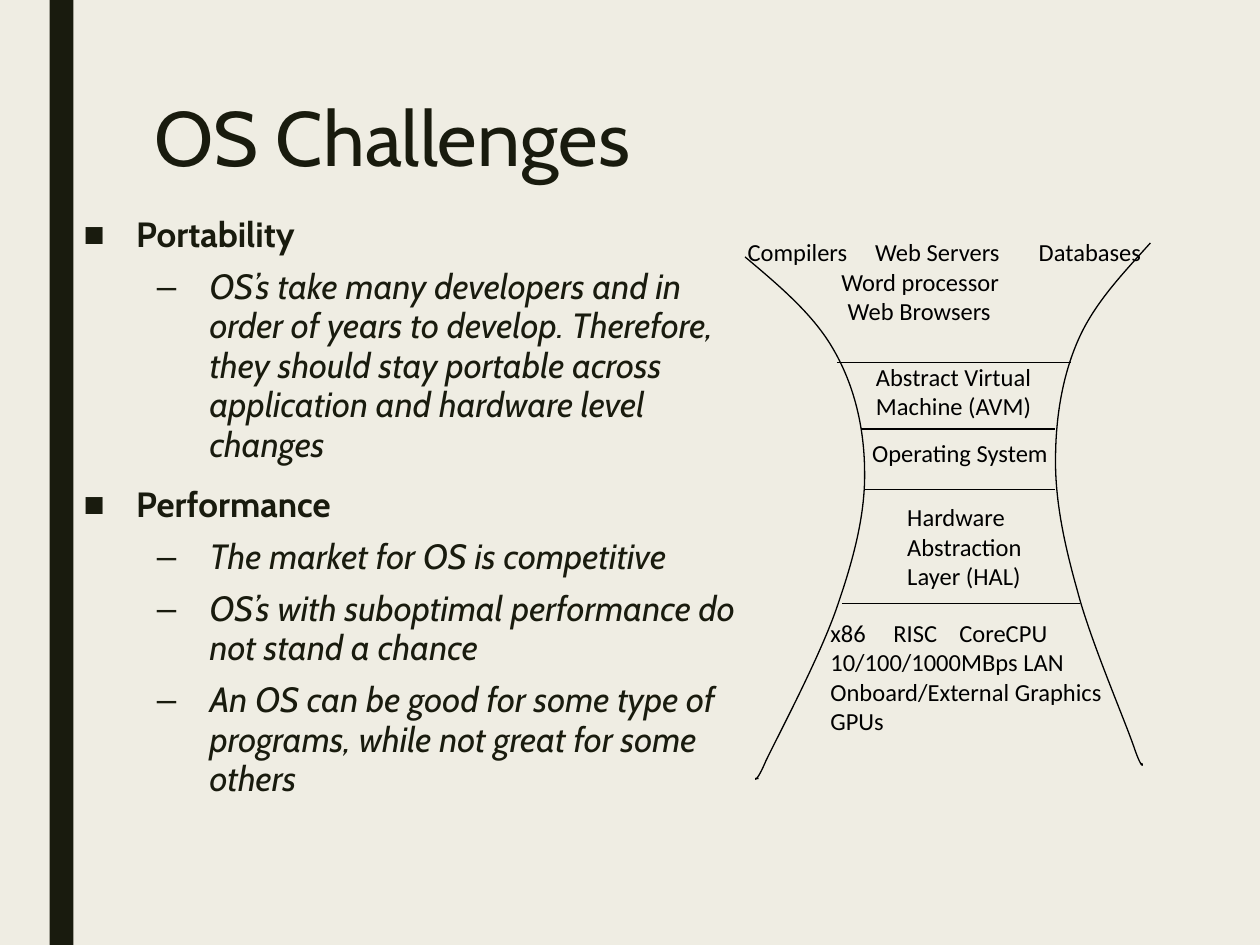
from copy import deepcopy
from dataclasses import dataclass
from typing import Any

from lxml.etree import SubElement as Sub
from pptx import Presentation
from pptx.dml.color import RGBColor as Rgb
from pptx.enum.shapes import MSO_CONNECTOR as Link, MSO_SHAPE as Kind
from pptx.enum.text import MSO_ANCHOR as Anchor, MSO_AUTO_SIZE as Fit, PP_ALIGN as Align
from pptx.oxml.ns import qn
from pptx.util import Cm, Pt

DARK, PAPER, BLACK = "191B0E", "EFEDE3", "000000"
TITLE = {"size": Pt(44), "name": "Cabin", "bold": False}
HEAD = {"size": Pt(20), "name": "Cabin", "bold": True, "italic": False}
ITEM = {**HEAD, "bold": False, "italic": True}
LABEL = {"size": Pt(14), "name": "Calibri"}
FRAME = {"word_wrap": True, "auto_size": Fit.NONE, "vertical_anchor": Anchor.TOP}


@dataclass
class Point:
    """One bullet of the body list."""
    text: str
    level: int = 1


@dataclass
class Row:
    """One paragraph of a label, with its indent and tab stops in cm."""
    text: str
    left: float = 0
    tabs: tuple[float, ...] = ()


@dataclass
class Label:
    """A text block of the hourglass, in cm."""
    box: tuple[float, float, float, float]
    rows: list[Row]


@dataclass
class Rule:
    """A level line across the hourglass, in cm."""
    left: float
    right: float
    top: float


POINTS = [
    Point("Portability", 0),
    Point("OS’s take many developers and in order of years to develop. Therefore, "
          "they should stay portable across application and hardware level changes"),
    Point("Performance", 0),
    Point("The market for OS is competitive"),
    Point("OS’s with suboptimal performance do not stand a chance"),
    Point("An OS can be good for some type of programs, while not great for some others"),
]
SIDES = [
    [(15.02, 5.18), (15.72, 5.77), (16.41, 6.35), (16.81, 7.06), (17.22, 7.77),
     (17.42, 8.61), (17.43, 9.47), (17.45, 10.34), (17.22, 11.23), (16.89, 12.19),
     (16.56, 13.18), (15.72, 14.76), (15.44, 15.34), (15.19, 15.93), (15.19, 15.62),
     (15.29, 15.7)],
    [(23.19, 4.9), (22.66, 5.49), (22.1, 6.07), (21.77, 6.78), (21.44, 7.49),
     (21.29, 8.33), (21.28, 9.17), (21.26, 10.03), (21.44, 10.92), (21.72, 11.91),
     (21.97, 12.88), (22.66, 14.48), (22.86, 15.06), (23.06, 15.65), (23.06, 15.34),
     (22.99, 15.39)],
]
RULES = [Rule(16.87, 21.59, 7.31), Rule(17.36, 21.26, 8.65),
         Rule(17.44, 21.26, 9.87), Rule(16.97, 21.77, 12.17)]
LABELS = [
    Label((17.41, 7.17, 4.17, 1.55), [Row("Abstract Virtual Machine (AVM)")]),
    Label((17.33, 8.71, 6.6, 1.04), [Row("Operating System")]),
    Label((18.04, 10, 5.23, 2.49), [Row("Hardware\vAbstraction\vLayer (HAL)")]),
    Label((14.82, 4.66, 8.59, 2.49),
          [Row("Compilers\tWeb Servers\tDatabases", tabs=(2.57, 5.87)),
           Row("Word processor", 1.89), Row("Web Browsers", 2.02)]),
    Label((16.49, 12.33, 6.5, 2.9),
          [Row("x86\tRISC\tCoreCPU\v10/100/1000MBps LAN\v"
               "Onboard/External Graphics\vGPUs", tabs=(1.27, 2.6))]),
]


def put(obj: Any, look: dict[str, Any]) -> None:
    """Set each attribute in the dict."""
    for key, val in look.items():
        setattr(obj, key, val)


def paint(fill: Any, tone: str) -> None:
    """Give a fill one solid colour."""
    fill.solid()
    fill.fore_color.rgb = Rgb.from_string(tone)


def place(shape: Any, box: tuple[float, ...]) -> None:
    """Move and size a shape in cm."""
    put(shape, dict(zip(("left", "top", "width", "height"), map(Cm, box))))


def write(para: Any, text: str, font: dict[str, Any], tone: str) -> None:
    """Add styled text, with line breaks of the same size."""
    para.text = text
    for run in para.runs:
        put(run.font, font)
        paint(run.font.fill, tone)
    for gap in para._p.findall(qn("a:br")):
        gap.insert(0, deepcopy(para.runs[0]._r.rPr))


def stroke(shape: Any) -> None:
    """Draw a thin black line."""
    shape.line.width = Pt(0.75)
    paint(shape.line.fill, BLACK)


def lines(frame: Any, count: int) -> list[Any]:
    """Give the frame this many paragraphs."""
    return [frame.paragraphs[0], *(frame.add_paragraph() for _ in range(count - 1))]


def bullets(frame: Any, points: list[Point]) -> None:
    """Fill the body list."""
    for para, point in zip(lines(frame, len(points)), points):
        put(para, {"level": point.level, "line_spacing": 0.94, "space_after": Pt(2),
                   "space_before": Pt((10, 5)[point.level])})
        prop = para._p.get_or_add_pPr()
        prop.set("marL", str(Cm((1.06, 2.54)[point.level])))
        prop.set("indent", str(Cm(-1.06)))
        Sub(prop, qn("a:buChar"), char="■–"[point.level])
        write(para, point.text, (HEAD, ITEM)[point.level], DARK)


def label(shapes: Any, item: Label) -> None:
    """Add one text block."""
    frame = shapes.add_textbox(*map(Cm, item.box)).text_frame
    put(frame, FRAME)
    for para, row in zip(lines(frame, len(item.rows)), item.rows):
        prop = para._p.get_or_add_pPr()
        prop.set("marL", str(Cm(row.left)))
        if row.tabs:
            stops = Sub(prop, qn("a:tabLst"))
            for tab in row.tabs:
                Sub(stops, qn("a:tab"), pos=str(Cm(tab)), algn="l")
        write(para, row.text, LABEL, BLACK)


def curve(shapes: Any, knots: list[tuple[float, float]]) -> None:
    """Draw a chain of cubic curves."""
    start, *rest = [tuple(map(Cm, knot)) for knot in knots]
    pen = shapes.build_freeform(*start)
    pen.add_line_segments(rest, close=False)
    shape = pen.convert_to_shape()
    legs = list(shape._element.iter(qn("a:lnTo")))
    track = legs[0].getparent()
    for at in range(0, len(legs), 3):
        bend = Sub(track, qn("a:cubicBezTo"))
        for leg in legs[at:at + 3]:
            bend.append(leg[0])
            track.remove(leg)
    shape.shadow.inherit = False
    shape.fill.background()
    stroke(shape)


def rule(shapes: Any, item: Rule) -> None:
    """Add one level line."""
    ends = map(Cm, (item.left, item.top, item.right, item.top))
    line = shapes.add_connector(Link.STRAIGHT, *ends)
    stroke(line)
    Sub(line._element.spPr, qn("a:effectLst"))


def main() -> None:
    """Build the slide."""
    deck = Presentation()
    put(deck, {"slide_width": Cm(25.4), "slide_height": Cm(19.05)})
    slide = deck.slides.add_slide(deck.slide_layouts[1])
    paint(slide.background.fill, PAPER)
    shapes = slide.shapes
    bar = shapes.add_shape(Kind.RECTANGLE, *map(Cm, (1, 0, 0.48, 19.05)))
    bar.shadow.inherit = False
    paint(bar.fill, DARK)
    bar.line.fill.background()
    title, body = slide.placeholders
    place(title, (2.86, 1.9, 20.02, 4.11))
    place(body, (1.43, 4.23, 13.77, 13.44))
    for holder in (title, body):
        put(holder.text_frame, FRAME)
    head = title.text_frame.paragraphs[0]
    put(head, {"alignment": Align.LEFT, "line_spacing": 0.89})
    write(head, "OS Challenges", TITLE, DARK)
    bullets(body.text_frame, POINTS)
    for side in SIDES:
        curve(shapes, side)
    for item in RULES:
        rule(shapes, item)
    for item in LABELS:
        label(shapes, item)
    deck.save("out.pptx")


if __name__ == "__main__":
    main()
